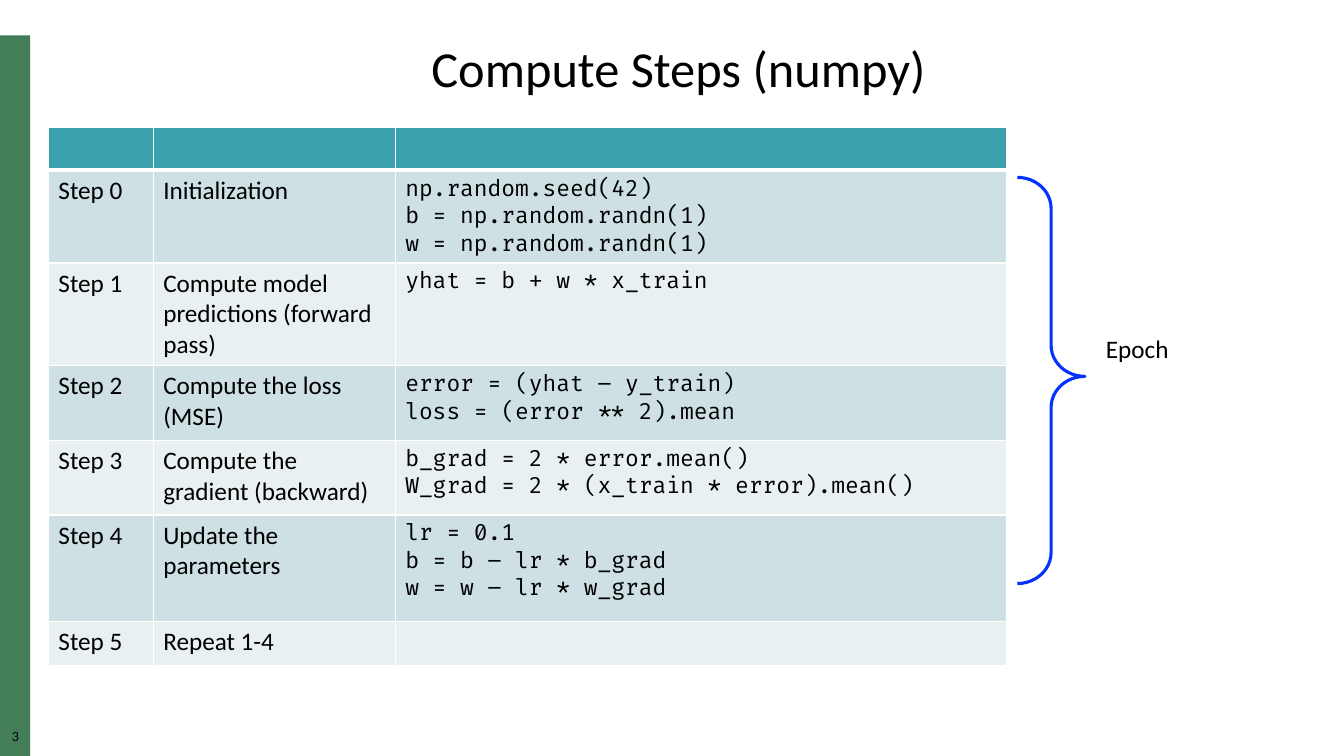
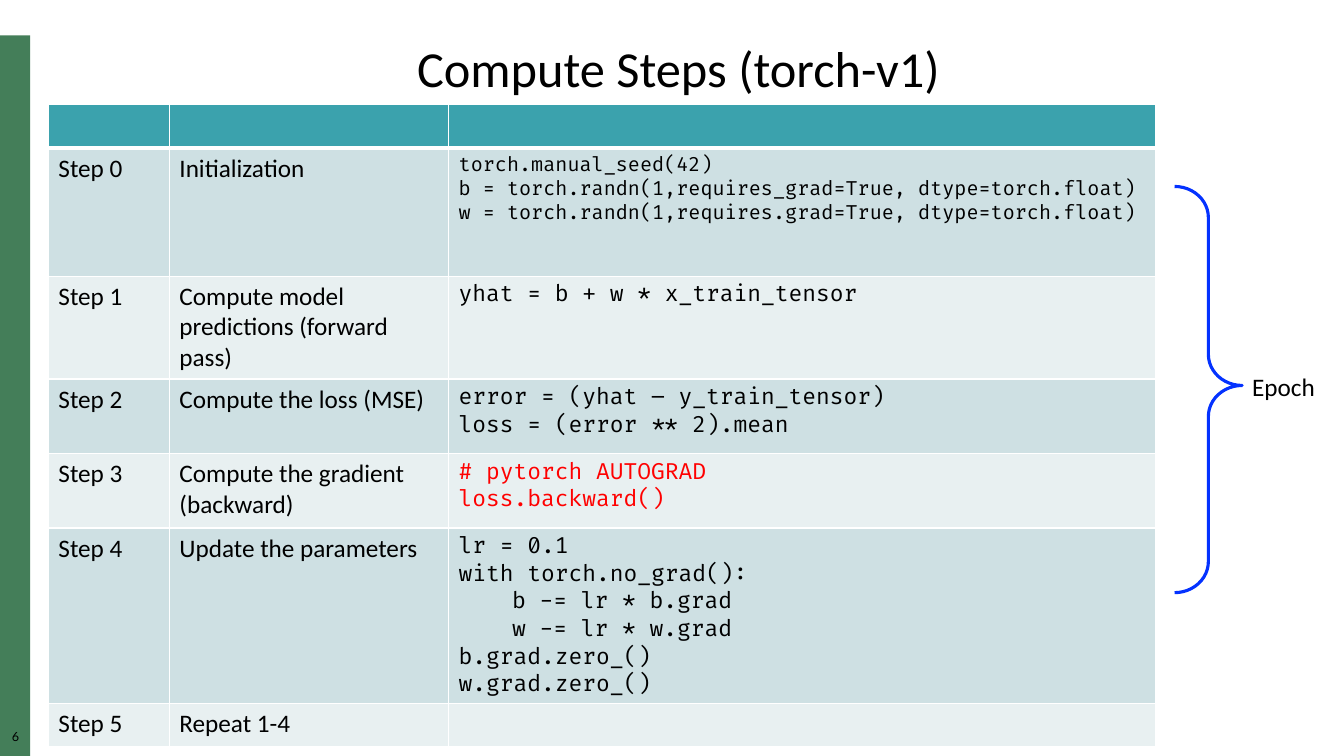
import pptx
import pptx.util
import pptx.dml.color
import pptx.enum.shapes
import pptx.enum.text
from lxml import etree
from pptx.util import Inches, Pt

BLACK, WHITE, RED, BLUE = "000000", "FFFFFF", "FF0000", "0432FF"
GREEN, TEAL = "447E59", "3BA2AD"
BANDS = ["CEE0E3", "E8F0F1"]
BODY, CODE, SMALL = "Calibri", "Fira Code", "Lato"
LEFT = 0.48
HEAD = 0.43
INDENT = 0.53  # four characters of 16 pt code

STEPS = [
    "Initialization",
    "Compute model predictions (forward pass)",
    "Compute the loss (MSE)",
    "Compute the gradient (backward)",
    "Update the parameters",
    "Repeat 1-4",
]

# Each row: height, code size, code colour, code lines as (level, text)
SLIDES = [
    {
        "title": "Compute Steps (numpy)", "number": "3",
        "top": 1.26, "cols": [1.04, 2.4, 6.06],
        "brace": (10.09, 1.76), "label": (10.87, 3.29),
        "rows": [
            (0.92, 16, BLACK, [(0, "np.random.seed(42)"),
                               (0, "b = np.random.randn(1)"),
                               (0, "w = np.random.randn(1)")]),
            (1.02, 16, BLACK, [(0, "yhat = b + w * x_train")]),
            (0.74, 16, BLACK, [(0, "error = (yhat – y_train)"),
                               (0, "loss = (error ** 2).mean")]),
            (0.74, 16, BLACK, [(0, "b_grad = 2 * error.mean()"),
                               (0, "W_grad = 2 * (x_train * error).mean()")]),
            (1.06, 16, BLACK, [(0, "lr = 0.1"),
                               (0, "b = b – lr * b_grad"),
                               (0, "w = w – lr * w_grad")]),
            (HEAD, 16, BLACK, []),
        ],
    },
    {
        "title": "Compute Steps (torch-v1)", "number": "6",
        "top": 1.04, "cols": [1.2, 2.77, 7.01],
        "brace": (11.65, 1.85), "label": (12.32, 3.67),
        "rows": [
            (1.27, 14, BLACK, [
                (0, "torch.manual_seed(42)"),
                (0, "b = torch.randn(1,requires_grad=True, dtype=torch.float)"),
                (0, "w = torch.randn(1,requires.grad=True, dtype=torch.float)")]),
            (1.02, 16, BLACK, [(0, "yhat = b + w * x_train_tensor")]),
            (0.74, 16, BLACK, [(0, "error = (yhat – y_train_tensor)"),
                               (0, "loss = (error ** 2).mean")]),
            (0.74, 16, RED, [(0, "# pytorch AUTOGRAD"),
                             (0, "loss.backward()")]),
            (1.74, 16, BLACK, [(0, "lr = 0.1"),
                               (0, "with torch.no_grad():"),
                               (1, "b -= lr * b.grad"),
                               (1, "w -= lr * w.grad"),
                               (0, "b.grad.zero_()"),
                               (0, "w.grad.zero_()")]),
            (HEAD, 16, BLACK, []),
        ],
    },
]


def rgb(code):
    return pptx.dml.color.RGBColor.from_string(code)


def style(par, size, face=BODY, color=BLACK):
    par.font.size = Pt(size)
    par.font.name = face
    par.font.color.rgb = rgb(color)


def put(frame, text, size, face=BODY, center=False):
    """Fill a text frame with one line."""
    frame.text = text
    par = frame.paragraphs[0]
    style(par, size, face)
    par.line_spacing = 0.9
    if center:
        par.alignment = pptx.enum.text.PP_ALIGN.CENTER


def add_frame(slide, data):
    """Add the title, side bar and slide number."""
    bar = slide.shapes.add_shape(pptx.enum.shapes.MSO_SHAPE.RECTANGLE,
                                 0, Inches(0.35), Inches(0.3), Inches(7.15))
    bar.shadow.inherit = False
    bar.fill.solid()
    bar.fill.fore_color.rgb = rgb(GREEN)
    bar.line.fill.background()

    box = slide.shapes.add_textbox(0, Inches(7.25), Inches(0.31), Inches(0.17))
    frame = box.text_frame
    frame.margin_left = frame.margin_right = 0
    frame.margin_top = frame.margin_bottom = 0
    frame.word_wrap = True
    put(frame, data["number"], 9, SMALL, center=True)

    title = slide.shapes.title
    title.left, title.top = Inches(LEFT), Inches(0.38)
    title.width, title.height = Inches(12.5), Inches(0.66)
    title.text_frame.auto_size = pptx.enum.text.MSO_AUTO_SIZE.NONE
    put(title.text_frame, data["title"], 36, center=True)


def paint(cell, color, above=1, below=1):
    """Set a cell's white borders and its fill."""
    props = cell._tc.get_or_add_tcPr()
    for side, width in zip("LRTB", (1, 1, above, below)):
        line = etree.SubElement(props, pptx.oxml.ns.qn("a:ln" + side),
                                w=str(Pt(width)))
        fill = etree.SubElement(line, pptx.oxml.ns.qn("a:solidFill"))
        etree.SubElement(fill, pptx.oxml.ns.qn("a:srgbClr"), val=WHITE)
    cell.fill.solid()
    cell.fill.fore_color.rgb = rgb(color)


def write(cell, lines, size, face=BODY, color=BLACK):
    frame = cell.text_frame
    frame.text = "\n".join(text for _, text in lines)
    for par, (level, _) in zip(frame.paragraphs, lines):
        style(par, size, face, color)
        if level:
            par._p.get_or_add_pPr().set("marL", str(Inches(level * INDENT)))


def add_steps(slide, data):
    cols, rows = data["cols"], data["rows"]
    highs = [HEAD] + [row[0] for row in rows]
    table = slide.shapes.add_table(
        len(highs), len(cols), Inches(LEFT), Inches(data["top"]),
        Inches(sum(cols)), Inches(sum(highs))).table
    for col, width in zip(table.columns, cols):
        col.width = Inches(width)
    for row, high in zip(table.rows, highs):
        row.height = Inches(high)

    for cell in table.rows[0].cells:
        paint(cell, TEAL, below=3)
    for i, (step, (_, size, color, code)) in enumerate(zip(STEPS, rows)):
        cells = list(table.rows[i + 1].cells)
        for cell in cells:
            paint(cell, BANDS[i % 2], above=1 if i else 3)
        write(cells[0], [(0, f"Step {i}")], 18)
        write(cells[1], [(0, step)], 18)
        write(cells[2], code, size, CODE, color)


def add_epoch(slide, data):
    """Add the brace beside the steps and its label."""
    left, top = data["brace"]
    brace = slide.shapes.add_shape(pptx.enum.shapes.MSO_SHAPE.RIGHT_BRACE,
                                   Inches(left), Inches(top),
                                   Inches(0.67), Inches(4.03))
    brace.adjustments[0], brace.adjustments[1] = 0.46, 0.49
    brace.shadow.inherit = False
    brace.fill.background()
    brace.line.color.rgb = rgb(BLUE)
    brace.line.width = Pt(2.25)

    left, top = data["label"]
    label = slide.shapes.add_textbox(Inches(left), Inches(top),
                                     Inches(0.85), Inches(0.37))
    label.text_frame.word_wrap = False
    put(label.text_frame, "Epoch", 18)


def main():
    deck = pptx.Presentation()
    deck.slide_width, deck.slide_height = Inches(13.33), Inches(7.5)
    for data in SLIDES:
        slide = deck.slides.add_slide(deck.slide_layouts[5])
        add_frame(slide, data)
        add_steps(slide, data)
        add_epoch(slide, data)
    deck.save("out.pptx")


if __name__ == "__main__":
    main()
